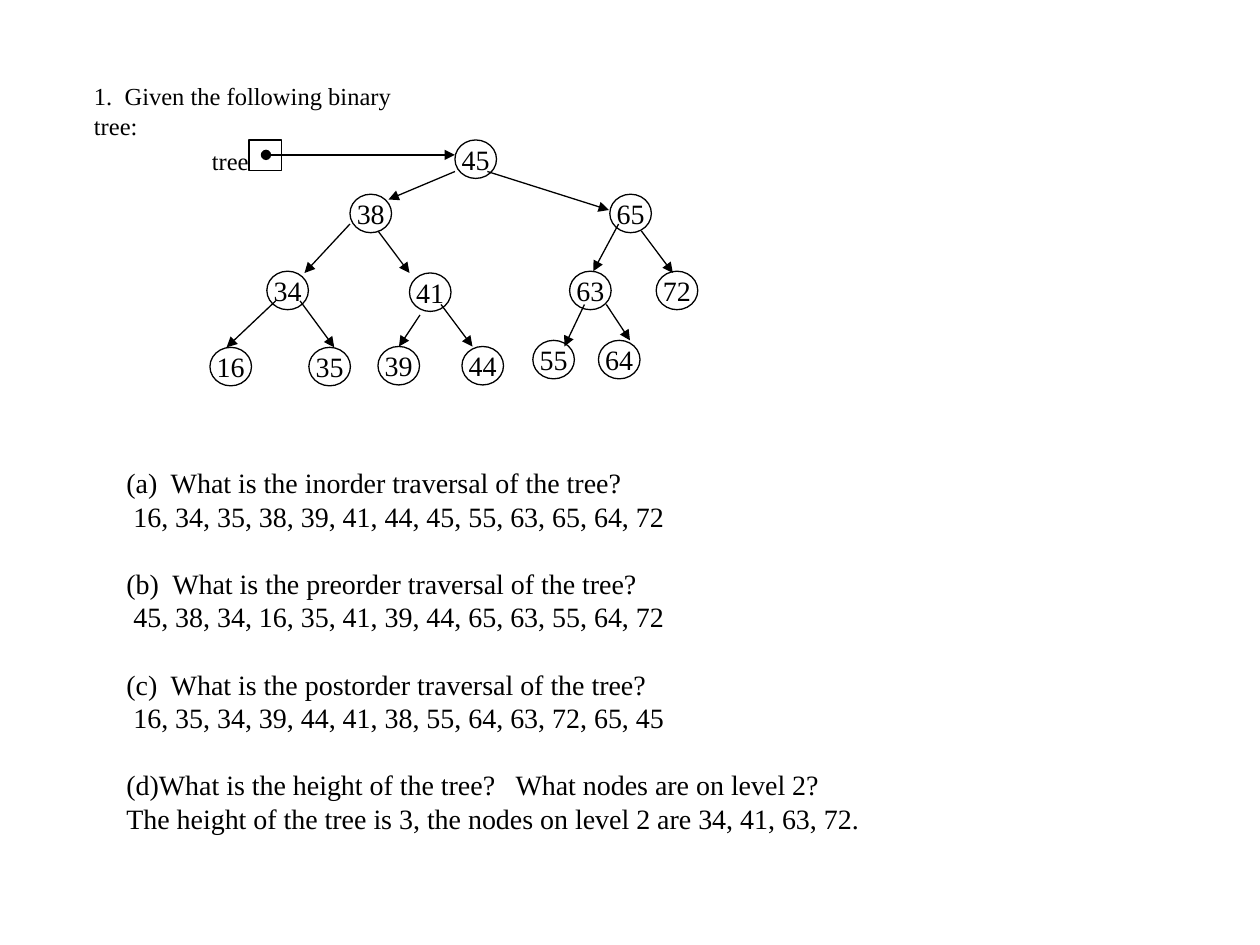
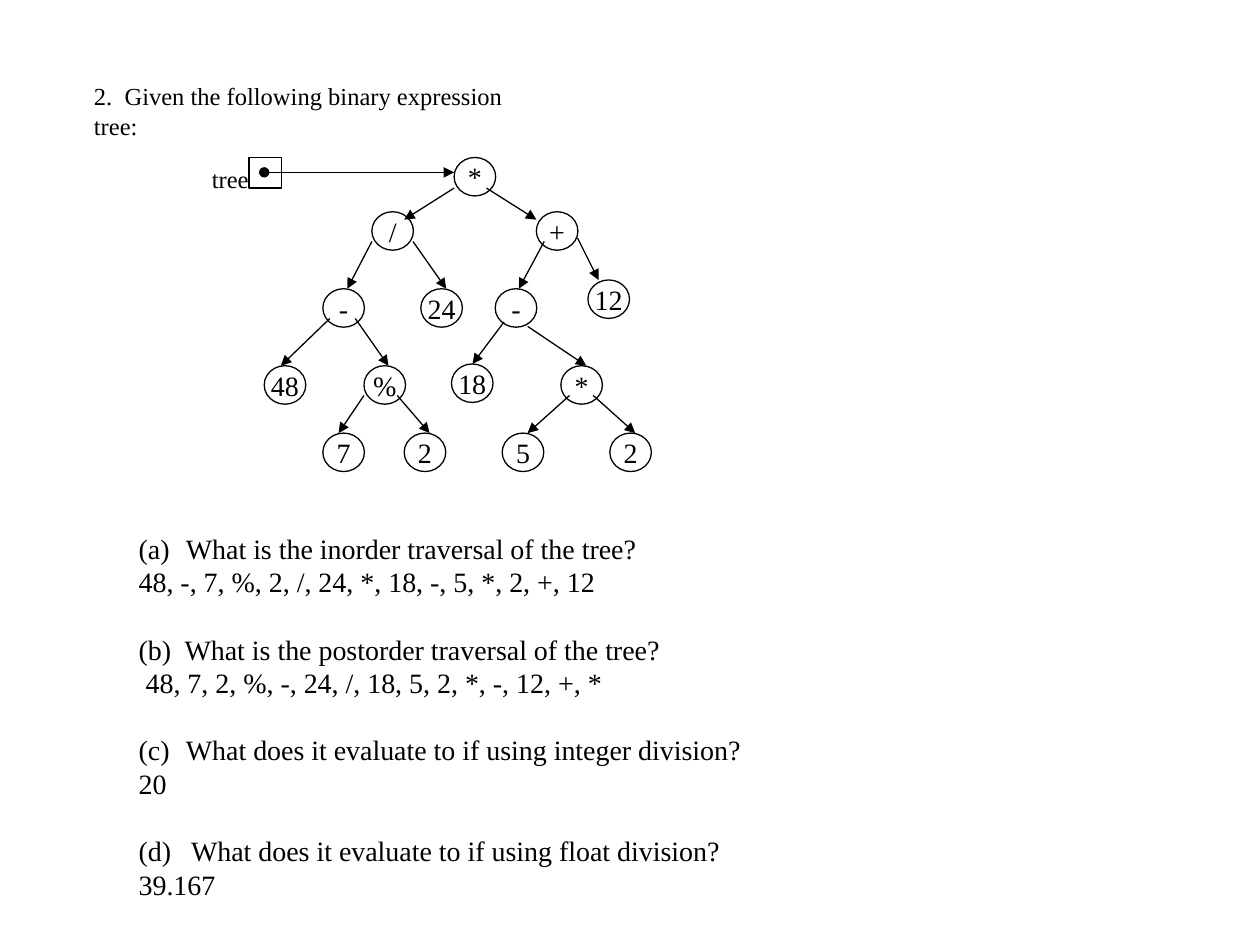
from dataclasses import dataclass

from pptx import Presentation
from pptx.dml.color import RGBColor
from pptx.enum.shapes import MSO_CONNECTOR, MSO_SHAPE
from pptx.enum.text import MSO_ANCHOR, MSO_AUTO_SIZE, PP_ALIGN
from pptx.oxml.ns import qn
from pptx.util import Pt
from lxml.etree import SubElement


@dataclass(frozen=True)
class Theme:
    ink: RGBColor = RGBColor(0, 0, 0)
    font: str = "Times New Roman"
    small: float = 14
    large: float = 16
    line: float = 0.75
    gap: float = 19.2
    node: tuple = (23.75, 22)
    box: tuple = (18.5, 17.5)


THEME = Theme()

# Each node: label, left, top, then the arrow that enters it (x1, y1, x2, y2)
SEARCH = [
    ("45", 260, 80, 152, 88.5, 260, 88.5),
    ("38", 200, 111, 260, 98, 222, 114),
    ("65", 348.5, 111, 278.5, 98, 348, 120),
    ("34", 152.5, 155, 200, 128, 174, 156),
    ("41", 234, 156, 216, 132, 234, 156),
    ("63", 325.5, 155, 353.5, 128, 339, 155),
    ("72", 375, 155, 366.5, 132, 384.5, 156),
    ("16", 120, 198.5, 157.5, 172, 129.5, 198.5),
    ("35", 176.5, 198.5, 171.5, 172, 191, 198.5),
    ("39", 216, 198, 240, 180, 228, 198),
    ("44", 264, 198, 252, 174, 270, 198),
    ("55", 304.5, 194.5, 334, 174, 322.5, 198),
    ("64", 342, 194.5, 346.5, 174, 360, 194.5),
]
MATHS = [
    ("*", 259.5, 90, 151, 98.5, 259.5, 98.5),
    ("/", 212.5, 121, 259.5, 107.5, 231, 125.5),
    ("+", 306.5, 121, 278, 107.5, 306.5, 125.5),
    ("-", 184.5, 165, 212.5, 138, 198.5, 165),
    ("24", 240.5, 165, 236, 138, 255, 165),
    ("-", 283, 165, 311, 138, 296.5, 165),
    ("12", 336, 160, 330, 136, 342, 160),
    ("48", 151, 209, 188.5, 182, 160.5, 209),
    ("%", 208, 209, 203, 182, 222, 209),
    ("18", 258, 208, 288, 184, 270, 208),
    ("*", 320.5, 209, 301.5, 186.5, 335, 209),
    ("7", 184.5, 247.5, 208, 226, 193.5, 247.5),
    ("2", 231, 247.5, 227, 226, 245.5, 247.5),
    ("5", 287, 247.5, 325.5, 226, 301.5, 247.5),
    ("2", 348.5, 247.5, 339, 226, 363, 247.5),
]

# Each entry: number of an automatic letter (0 for none), indent, text
SEARCH_TEXT = [
    (0, 0, "(a)  What is the inorder traversal of the tree?"),
    (0, 4, "16, 34, 35, 38, 39, 41, 44, 45, 55, 63, 65, 64, 72"),
    (0, 0, "(b)  What is the preorder traversal of the tree?"),
    (0, 4, "45, 38, 34, 16, 35, 41, 39, 44, 65, 63, 55, 64, 72"),
    (0, 0, "(c)  What is the postorder traversal of the tree?"),
    (0, 4, "16, 35, 34, 39, 44, 41, 38, 55, 64, 63, 72, 65, 45"),
    (4, 18, "What is the height of the tree?   What nodes are on level 2?"),
    (0, 0, "The height of the tree is 3, the nodes on level 2 are 34, 41, 63, 72."),
]
MATHS_TEXT = [
    (1, 27, "What is the inorder traversal of the tree?"),
    (0, 0, "48, -, 7, %, 2, /, 24, *, 18, -, 5, *, 2, +, 12"),
    (0, 0, "(b)  What is the postorder traversal of the tree?"),
    (0, 4, "48, 7, 2, %, -, 24, /, 18, 5, 2, *, -, 12, +, *"),
    (3, 27, "What does it evaluate to if using integer division?"),
    (0, 0, "20"),
    (4, 30, "What does it evaluate to if using float division?"),
    (0, 0, "39.167"),
]


def style(para, size, align=PP_ALIGN.LEFT, before=0):
    para.alignment = align
    para.line_spacing = 1.0
    para.space_before = Pt(before)
    para.space_after = Pt(0)
    for run in para.runs:
        run.font.name = THEME.font
        run.font.size = Pt(size)
        run.font.color.rgb = THEME.ink


def place(shape, left, top, width, height):
    shape.left, shape.top = Pt(left), Pt(top)
    shape.width, shape.height = Pt(width), Pt(height)
    frame = shape.text_frame
    frame.auto_size = MSO_AUTO_SIZE.NONE
    frame.vertical_anchor = MSO_ANCHOR.TOP
    frame.word_wrap = True
    return frame


def title(slide, text, width):
    frame = place(slide.shapes.title, 46.5, 42.75, width, 41)
    frame.text = text
    style(frame.paragraphs[0], THEME.small)


def letter(para, number, indent):
    """Set the indent and, for a number above 0, an automatic (a), (b)..."""
    props = para._p.get_or_add_pPr()
    props.set("marL", str(Pt(indent)))
    props.set("indent", str(Pt(-indent if number else 0)))
    if number:
        SubElement(props, qn("a:buFont"), typeface=THEME.font)
        SubElement(props, qn("a:buAutoNum"), type="alphaLcParenBoth",
                   startAt=str(number))
    else:
        SubElement(props, qn("a:buNone"))


def body(slide, items, *area):
    frame = place(slide.placeholders[1], *area)
    frame.text = "\n".join(text for _, _, text in items)
    for i, (para, item) in enumerate(zip(frame.paragraphs, items)):
        # A question follows each answer after one line of space
        style(para, THEME.large, before=THEME.gap if i and i % 2 == 0 else 0)
        letter(para, *item[:2])


def outline(slide, kind, left, top, size):
    shape = slide.shapes.add_shape(kind, Pt(left), Pt(top), *map(Pt, size))
    shape.shadow.inherit = False
    shape.fill.background()
    shape.line.color.rgb = THEME.ink
    shape.line.width = Pt(THEME.line)
    return shape


def node(slide, text, left, top):
    frame = outline(slide, MSO_SHAPE.OVAL, left, top, THEME.node).text_frame
    frame.margin_left = frame.margin_right = Pt(0)
    frame.margin_top = frame.margin_bottom = Pt(0)
    frame.vertical_anchor = MSO_ANCHOR.MIDDLE
    frame.word_wrap = False
    frame.text = text
    style(frame.paragraphs[0], THEME.large, PP_ALIGN.CENTER)


def arrow(slide, ends, dot=False):
    link = slide.shapes.add_connector(MSO_CONNECTOR.STRAIGHT, *map(Pt, ends))
    link.line.color.rgb = THEME.ink
    link.line.width = Pt(THEME.line)
    line = link.line._ln
    if dot:
        SubElement(line, qn("a:headEnd"), type="oval")
    SubElement(line, qn("a:tailEnd"), type="triangle")
    SubElement(link._element.spPr, qn("a:effectLst"))


def tag(slide, text, left, top):
    box = slide.shapes.add_textbox(Pt(0), Pt(0), Pt(0), Pt(0))
    frame = place(box, left, top, 36, 24)
    frame.word_wrap = False
    # The whole width right of the left inset is free for the word
    frame.margin_right = Pt(0)
    frame.text = text
    style(frame.paragraphs[0], THEME.small)


def tree(slide, nodes):
    # Named pointer to the root
    top = nodes[0][2]
    outline(slide, MSO_SHAPE.RECTANGLE, 142.25, top, THEME.box)
    tag(slide, "tree", 114, top)
    # Nodes, each with its arrow
    for i, (text, left, high, *ends) in enumerate(nodes):
        node(slide, text, left, high)
        arrow(slide, ends, dot=i == 0)


def main():
    deck = Presentation()
    deck.slide_width, deck.slide_height = Pt(720), Pt(540)
    layout = deck.slide_layouts[1]

    # Binary tree
    slide = deck.slides.add_slide(layout)
    title(slide, "1.  Given the following binary tree:", 209)
    body(slide, SEARCH_TEXT, 65, 262.5, 439, 240)
    tree(slide, SEARCH)

    # Expression tree
    slide = deck.slides.add_slide(layout)
    title(slide, "2.  Given the following binary expression tree:", 272)
    body(slide, MATHS_TEXT, 72, 300, 384, 240)
    tree(slide, MATHS)

    deck.save("out.pptx")


main()
